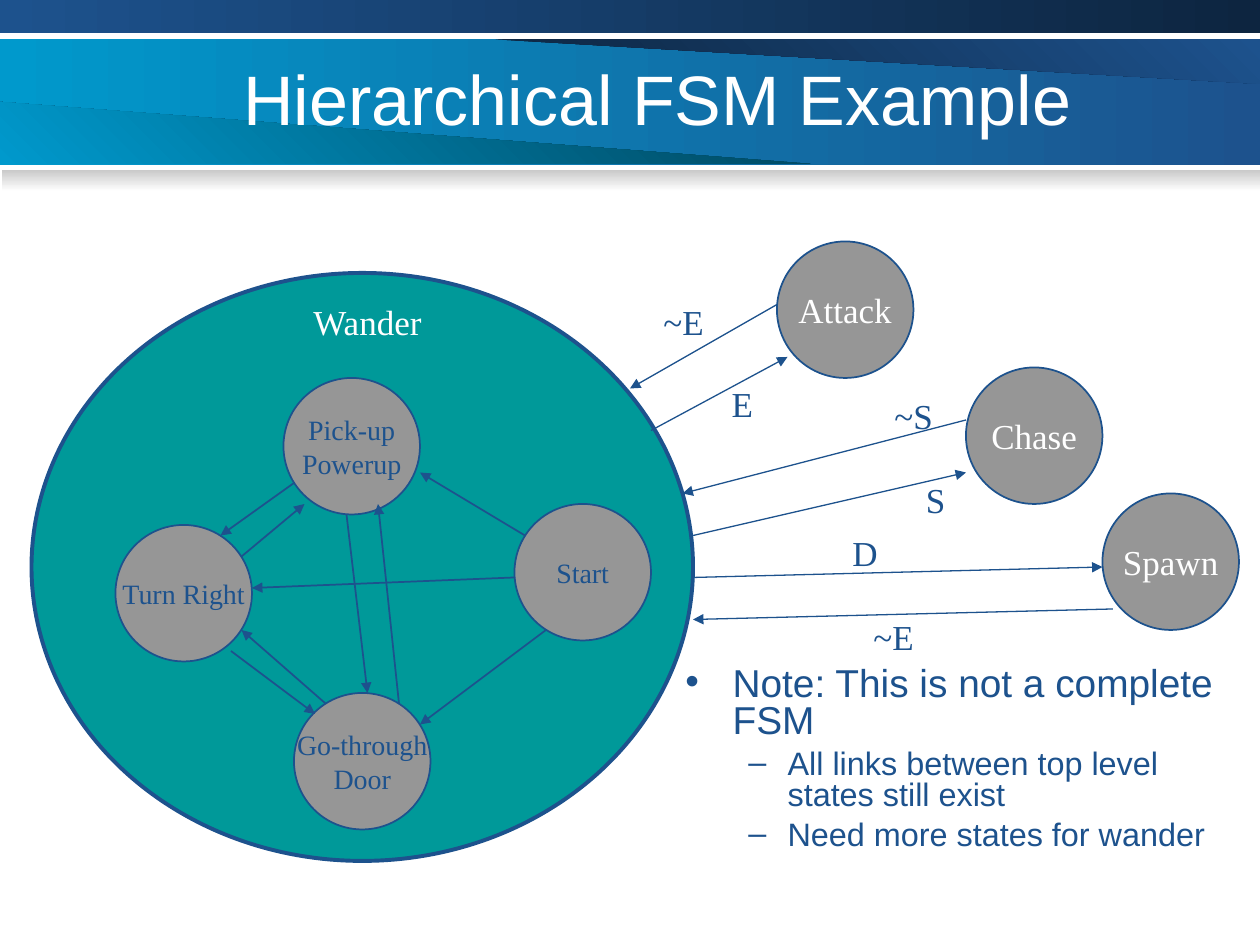
from lxml import etree
from pptx import Presentation
from pptx import util as u
from pptx.dml.color import RGBColor
from pptx.enum import shapes, text
from pptx.oxml.ns import qn

BLUE = RGBColor(0x1D, 0x52, 0x8D)
NAVY = RGBColor(0x0D, 0x25, 0x40)
CYAN = RGBColor(0x00, 0x99, 0xCC)
DEEP_TEAL = RGBColor(0x00, 0x46, 0x5E)
TEAL = RGBColor(0x00, 0x99, 0x99)
GREY = RGBColor(0x96, 0x96, 0x96)
SHADE = RGBColor(0xCA, 0xCA, 0xCA)
OFF_WHITE = RGBColor(0xFE, 0xFE, 0xFE)
WHITE = RGBColor(0xFF, 0xFF, 0xFF)
GRID = 2.54 / 12
STATE_SIZE = 13
LABEL_HEIGHT = 5.3
SERIF, SANS = "Times New Roman", "Arial"


def at(*steps):
    return [u.Cm(step * GRID) for step in steps]


def write(box, lines, size, color, face=SERIF, frame_format=None, para_format=None):
    frame = box.text_frame
    for name, value in (frame_format or {}).items():
        setattr(frame, name, value)
    for index, line in enumerate(lines):
        para = frame.paragraphs[0] if index == 0 else frame.add_paragraph()
        for name, value in (para_format or {}).items():
            setattr(para, name, value)
        span = para.add_run()
        span.text = line
        for name, value in {"size": u.Pt(size), "name": face}.items():
            setattr(span.font, name, value)
        span.font.color.rgb = color


deck = Presentation()
deck.slide_width, deck.slide_height = at(120, 90)
page = deck.slides.add_slide(deck.slide_layouts[6])

fills = [(page.background.fill, WHITE, OFF_WHITE, 270)]
bands = [
    ((0, 3.75, 120, 12), BLUE, CYAN, 180),
    ((0, 0, 120, 3.15), NAVY, BLUE, 180),
    ((0.15, 16.2, 119.85, 2), SHADE, OFF_WHITE, 270),
]
for place, first, last, angle in bands:
    band = page.shapes.add_shape(shapes.MSO_SHAPE.RECTANGLE, *at(*place))
    band.shadow.inherit = False
    band.line.fill.background()
    fills.append((band.fill, first, last, angle))

wedges = [
    ([(47.2, 3.75), (120, 8), (120, 3.75)], NAVY, BLUE, 45),
    ([(0, 15.6), (77.2, 15.6), (0, 9.7)], DEEP_TEAL, CYAN, 225),
]
for corners, first, last, angle in wedges:
    points = [at(*corner) for corner in corners]
    builder = page.shapes.build_freeform(*points[0])
    builder.add_line_segments(points[1:])
    wedge = builder.convert_to_shape()
    wedge.shadow.inherit = False
    wedge.line.fill.background()
    fills.append((wedge.fill, first, last, angle))

for fill, first, last, angle in fills:
    fill.gradient()
    fill.gradient_angle = angle
    for stop, color in zip(fill.gradient_stops, (first, last)):
        stop.color.rgb = color

title = page.shapes.add_textbox(*at(22, 3.6, 87, 11.4))
write(title, ["Hierarchical FSM Example"], 40, WHITE, SANS,
      {"word_wrap": True, "vertical_anchor": text.MSO_ANCHOR.MIDDLE})

notes = [
    ("Note: This is not a complete FSM", 0, "•", 22.2, 0.95, 0.95, 0),
    ("All links between top level states still exist", 1, "–", 18.5, 2.06, 0.79, 5),
    ("Need more states for wander", 1, "–", 18.5, 2.06, 0.79, 5),
]
body = page.shapes.add_textbox(*at(64.1, 63, 52.9, 19.2))
body.text_frame.word_wrap = True
for index, (line, level, mark, size, margin, hang, before) in enumerate(notes):
    para = body.text_frame.paragraphs[0] if index == 0 else body.text_frame.add_paragraph()
    props = para._p.get_or_add_pPr()
    props.set("marL", str(u.Cm(margin)))
    props.set("indent", str(-u.Cm(hang)))
    etree.SubElement(props, qn("a:buFont")).set("typeface", SANS)
    etree.SubElement(props, qn("a:buChar")).set("char", mark)
    for name, value in {"level": level, "line_spacing": 0.8, "space_before": u.Pt(before)}.items():
        setattr(para, name, value)
    span = para.add_run()
    span.text = line
    for name, value in {"size": u.Pt(size), "name": SANS}.items():
        setattr(span.font, name, value)
    span.font.color.rgb = BLUE

states = [
    ((3, 26, 63, 56), [], TEAL, 2.25, 16, BLUE),
    ((49, 48), ["Start"], GREY, 1, 16, BLUE),
    ((11, 50), ["Turn Right"], GREY, 1, 16, BLUE),
    ((28, 66), ["Go-through", "Door"], GREY, 1, 16, BLUE),
    ((27, 36), ["Pick-up", "Powerup"], GREY, 1, 16, BLUE),
    ((74, 23), ["Attack"], GREY, 1, 20, WHITE),
    ((92, 35), ["Chase"], GREY, 1, 20, WHITE),
    ((105, 47), ["Spawn"], GREY, 1, 20, WHITE),
]
for place, lines, color, width, size, ink in states:
    bounds = place if len(place) == 4 else (*place, STATE_SIZE, STATE_SIZE)
    state = page.shapes.add_shape(shapes.MSO_SHAPE.OVAL, *at(*bounds))
    state.shadow.inherit = False
    state.fill.solid()
    state.fill.fore_color.rgb = color
    state.line.color.rgb = BLUE
    state.line.width = u.Pt(width)
    write(state, lines, size, ink,
          frame_format={"word_wrap": False, "vertical_anchor": text.MSO_ANCHOR.MIDDLE},
          para_format={"alignment": text.PP_ALIGN.CENTER})

inner_links = [
    (52, 60, 40, 69), (50, 51, 40, 45), (49, 55, 24, 56),
    (33, 49, 35, 66), (28, 46, 21, 51), (22, 62, 30, 68),
    (23, 53, 29, 48), (31, 67, 23, 60), (38, 67, 36, 48),
]
outer_links = [
    (74, 29, 60, 37), (62, 41, 75, 34), (92, 40, 65, 47),
    (66, 51, 92, 45), (66, 55, 105, 54), (106, 58, 66, 59),
]
for links, width in ((inner_links, 1), (outer_links, 0.75)):
    for ends in links:
        link = page.shapes.add_connector(shapes.MSO_CONNECTOR.STRAIGHT, *at(*ends))
        link.line.color.rgb = BLUE
        link.line.width = u.Pt(width)
        props = link._element.spPr
        etree.SubElement(props.find(qn("a:ln")), qn("a:tailEnd")).set("type", "triangle")
        etree.SubElement(props, qn("a:effectLst"))

wander = page.shapes.add_textbox(*at(24, 28, 22, LABEL_HEIGHT))
write(wander, ["Wander"], 20, WHITE, frame_format={"word_wrap": True},
      para_format={"alignment": text.PP_ALIGN.CENTER})

labels = [
    ("~E", 62, 28, 6.6), ("E", 68.5, 35.8, 4.6), ("~S", 84, 37, 6.4),
    ("S", 87, 45, 4.4), ("D", 80, 50, 5), ("~E", 82, 58, 6.6),
]
for event, left, top, width in labels:
    label = page.shapes.add_textbox(*at(left, top, width, LABEL_HEIGHT))
    write(label, [event], 20, BLUE,
          frame_format={"word_wrap": False, "auto_size": text.MSO_AUTO_SIZE.NONE})

deck.save("out.pptx")
